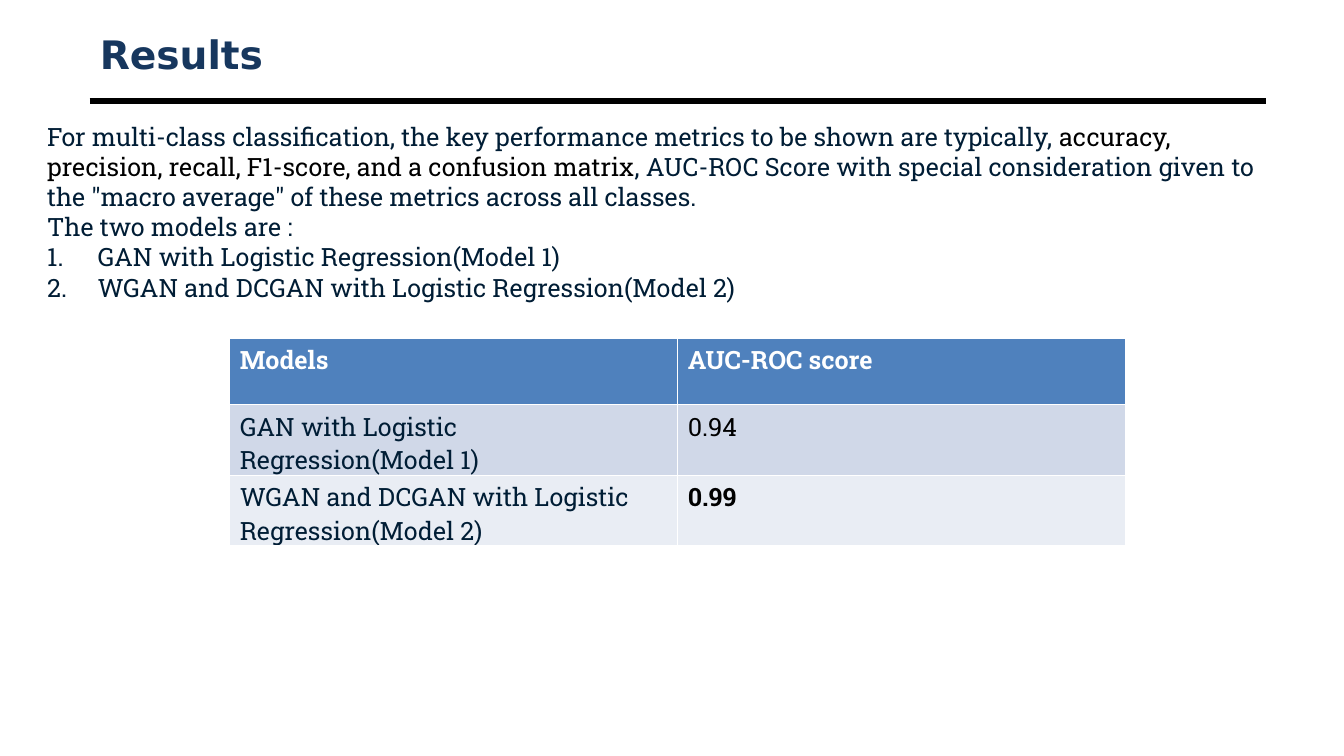
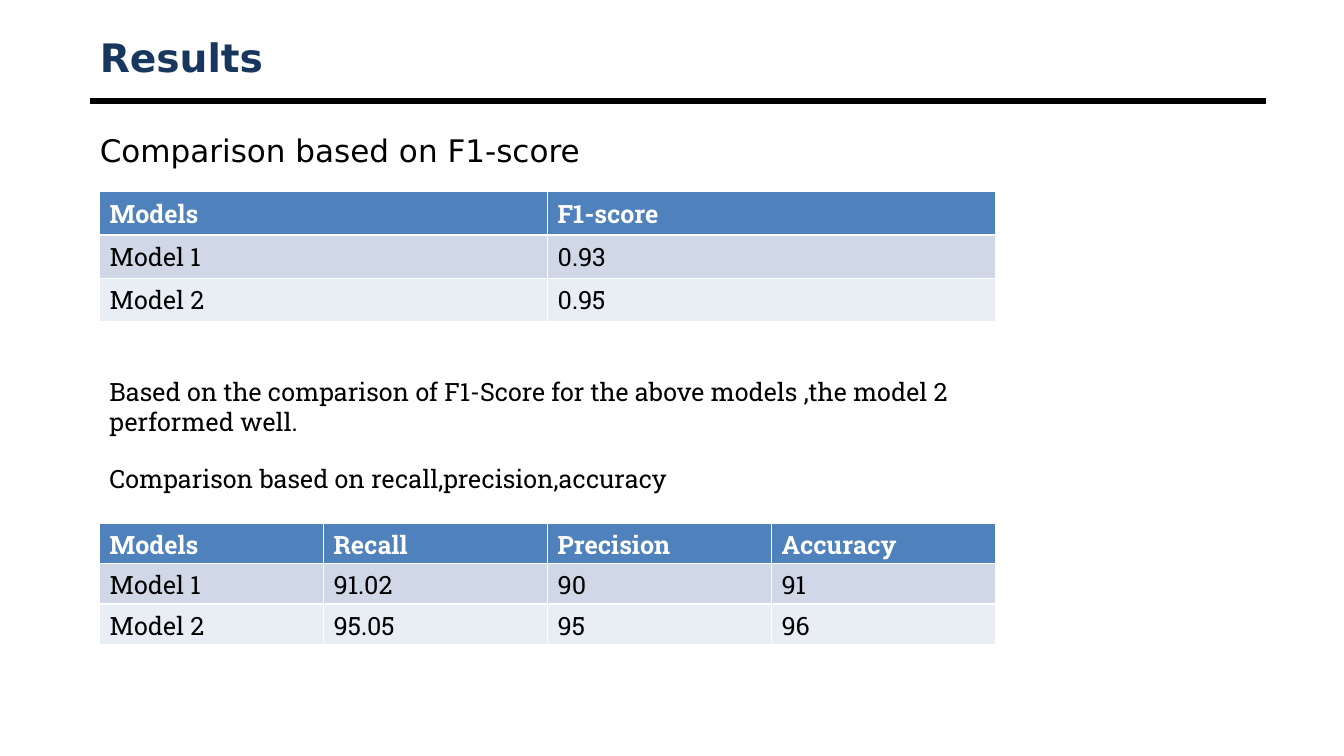
from lxml import etree
from pptx import Presentation, util as u
from pptx.dml.color import RGBColor
from pptx.enum import shapes, text
from pptx.oxml.ns import qn

NAVY, INK, BLACK, WHITE = "17375E", "001D35", "000000", "FFFFFF"
HEADER_FILL, BAND_FILLS = "4F81BD", ("D0D8E8", "E9EDF4")
HEADING_FONT, BODY_FONT = "DejaVu Sans", "Roboto Slab"
LEFT, TABLE_LEFT, TABLE_WIDTH = 2.26, 2.51, 22.58


def colour(value):
    return RGBColor.from_string(value)


def write(para, words, size=18, font=BODY_FONT, ink=BLACK, bold=False):
    """Append one formatted span to a paragraph."""
    span = para.add_run()
    span.text = words
    span.font.size = u.Pt(size)
    span.font.name = font
    span.font.bold = bold
    span.font.color.rgb = colour(ink)


deck = Presentation()
deck.slide_width, deck.slide_height = u.Cm(33.87), u.Cm(19.05)

# Shared title area
master_title = deck.slide_master.placeholders[0]
master_title.left, master_title.top = u.Cm(LEFT), u.Cm(0.76)
master_title.width, master_title.height = u.Cm(29.64), u.Cm(1.35)

score_slide = deck.slides.add_slide(deck.slide_layouts.get_by_name("Title Only"))
comparison_slide = deck.slides.add_slide(deck.slide_layouts.get_by_name("Title and Content"))

rule = score_slide.shapes.add_connector(
    shapes.MSO_CONNECTOR.STRAIGHT, u.Cm(LEFT), u.Cm(2.54), u.Cm(31.9), u.Cm(2.54))
rule.line.color.rgb = colour(BLACK)
rule.line.width = u.Pt(4.5)
etree.SubElement(rule.element.spPr, qn("a:effectLst"))
deck.slide_master.shapes.element.append(rule.element)

for slide, spacing in ((score_slide, 0.9), (comparison_slide, 1.0)):
    title = slide.shapes.title.text_frame
    title.auto_size = text.MSO_AUTO_SIZE.NONE
    title.vertical_anchor = text.MSO_ANCHOR.MIDDLE
    para = title.paragraphs[0]
    para.alignment = text.PP_ALIGN.LEFT
    para.line_spacing = spacing
    write(para, "Results", size=28, font=HEADING_FONT, ink=NAVY, bold=True)

# Subheading of the comparison slide
subheading = comparison_slide.placeholders[1]
subheading.left, subheading.top = u.Cm(LEFT), u.Cm(3.18)
subheading.width, subheading.height = u.Cm(14.68), u.Cm(1.04)
subheading.text_frame.auto_size = text.MSO_AUTO_SIZE.NONE
para = subheading.text_frame.paragraphs[0]
write(para, "Comparison based on F1-score", size=22.2, font=HEADING_FONT)
properties = para._p.get_or_add_pPr()
properties.set("marL", "0")
properties.set("indent", "0")
etree.SubElement(properties, qn("a:buNone"))

# Text boxes: slide, left, top, width, height, paragraphs of (words, ink), numbered from
models = ("GAN with Logistic Regression(Model 1)",
          "WGAN and DCGAN with Logistic Regression(Model 2)")
introduction = [
    [("For multi-class classification, the key performance metrics to be shown "
      "are typically, ", INK),
     ("accuracy, precision, recall, F1-score, and a confusion matrix", BLACK),
     (", AUC-ROC Score with special consideration given to the \"macro average\" "
      "of these metrics across all classes.", INK)],
    [("The two models are :", INK)],
    *[[(model, INK)] for model in models],
]
finding = [[("Based on the comparison of F1-Score for the above models ,"
             "the model 2 performed well.", BLACK)]]
lead_in = [[("Comparison based on recall,precision,accuracy", BLACK)]]

for slide, left, top, width, height, paragraphs, first_numbered in (
    (score_slide, 0.94, 2.92, 31.85, 4.88, introduction, 2),
    (comparison_slide, TABLE_LEFT, 9.35, TABLE_WIDTH, 1.8, finding, 1),
    (comparison_slide, TABLE_LEFT, 11.56, 16.92, 1.02, lead_in, 1),
):
    box = slide.shapes.add_textbox(u.Cm(left), u.Cm(top), u.Cm(width), u.Cm(height))
    frame = box.text_frame
    frame.word_wrap = True
    for index, spans in enumerate(paragraphs):
        para = frame.add_paragraph() if index else frame.paragraphs[0]
        para.line_spacing = u.Pt(21.6)
        for words, ink in spans:
            write(para, words, ink=ink)
        if index >= first_numbered:
            properties = para._p.get_or_add_pPr()
            properties.set("marL", str(u.Cm(1.27)))
            properties.set("indent", str(-u.Cm(1.27)))
            etree.SubElement(properties, qn("a:buAutoNum"), type="arabicPeriod")

# Tables: slide, left, top, row heights, ink of the first column, rows, bold value
auc_rows = [("Models", "AUC-ROC score"), (models[0], "0.94"), (models[1], "0.99")]
f1_rows = [("Models", "F1-score"), ("Model 1", "0.93"), ("Model 2", "0.95")]
metric_rows = [("Models", "Recall", "Precision", "Accuracy"),
               ("Model 1", "91.02", "90", "91"),
               ("Model 2", "95.05", "95", "96")]

for slide, left, top, heights, name_ink, rows, bold_value in (
    (score_slide, 5.79, 8.53, (1.67, 1.78, 1.78), INK, auc_rows, "0.99"),
    (comparison_slide, TABLE_LEFT, 4.83, (1.09,) * 3, BLACK, f1_rows, None),
    (comparison_slide, TABLE_LEFT, 13.18, (1.02,) * 3, BLACK, metric_rows, None),
):
    table = slide.shapes.add_table(
        len(rows), len(rows[0]), u.Cm(left), u.Cm(top),
        u.Cm(TABLE_WIDTH), u.Cm(sum(heights))).table
    for row_index, row in enumerate(rows):
        table.rows[row_index].height = u.Cm(heights[row_index])
        is_header = row_index == 0
        for column_index, words in enumerate(row):
            cell = table.cell(row_index, column_index)
            cell.margin_bottom = 0
            cell.fill.solid()
            cell.fill.fore_color.rgb = colour(
                HEADER_FILL if is_header else BAND_FILLS[row_index - 1])
            ink = WHITE if is_header else BLACK if column_index else name_ink
            write(cell.text_frame.paragraphs[0], words, ink=ink,
                  bold=is_header or words == bold_value)

deck.save("out.pptx")
